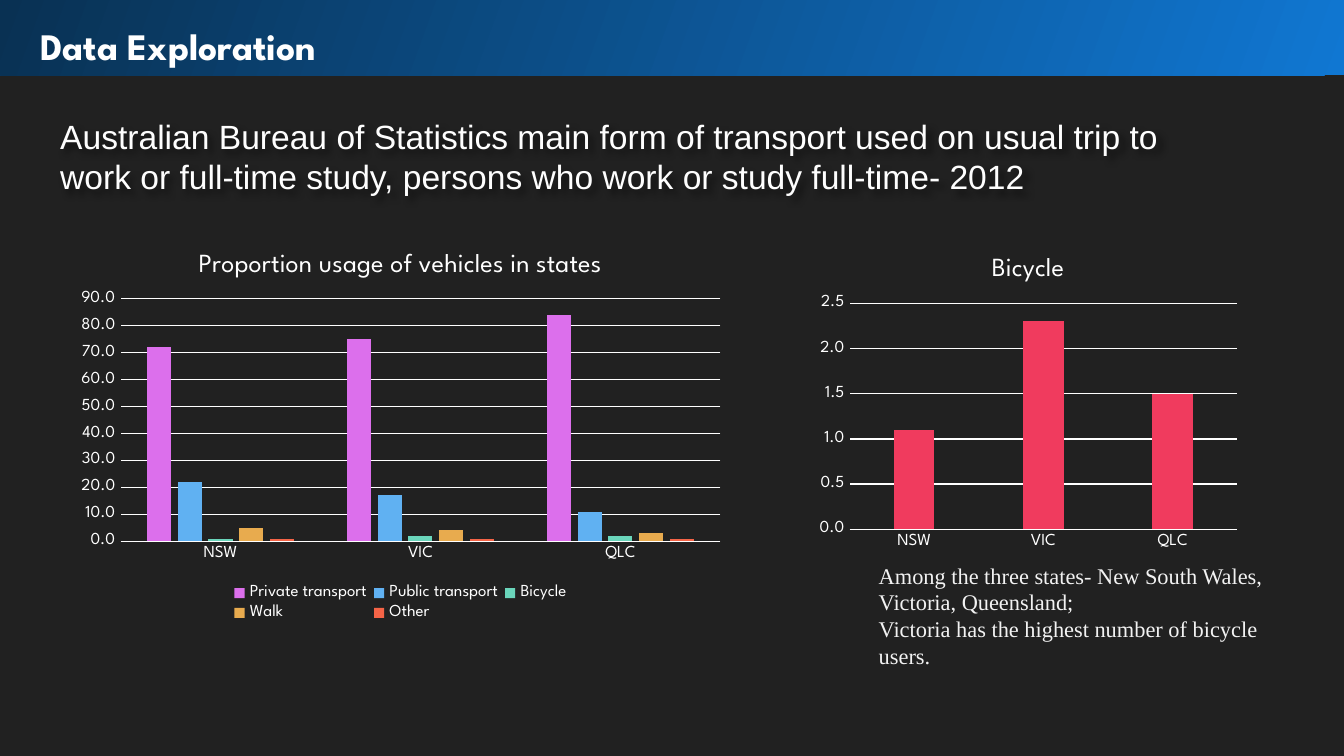
"""Build the Data Exploration slide with two column charts on transport use."""
from dataclasses import dataclass

from lxml import etree
from pptx import Presentation
from pptx.chart.data import CategoryChartData
from pptx.dml.color import RGBColor
from pptx.enum.chart import XL_CHART_TYPE, XL_LEGEND_POSITION, XL_TICK_MARK
from pptx.enum.shapes import MSO_SHAPE
from pptx.enum.text import MSO_ANCHOR
from pptx.oxml import parse_xml
from pptx.oxml.ns import nsdecls, qn
from pptx.util import Inches, Pt

COLUMNS = XL_CHART_TYPE.COLUMN_CLUSTERED
BOTTOM_LEGEND = XL_LEGEND_POSITION.BOTTOM
NO_TICK = XL_TICK_MARK.NONE
RECTANGLE = MSO_SHAPE.RECTANGLE
TOP, BOTTOM = MSO_ANCHOR.TOP, MSO_ANCHOR.BOTTOM


@dataclass(frozen=True)
class Theme:
    background: str = "212121"
    white: str = "FFFFFF"
    headline: str = "FEFEFE"
    note: str = "F2F2F2"
    shadow: str = "000000"
    band_start: str = "1077D2"
    band_end: str = "093153"
    bicycle: str = "F03B5E"
    transport: tuple = ("DC6FEC", "60B1F2", "6AD5BB", "E8AB4E", "F56447")
    display_font: str = "League Spartan"
    headline_font: str = "Arial"
    note_font: str = "Times New Roman"
    header_size: int = 20
    headline_size: int = 18
    chart_title_size: int = 14
    note_size: int = 12
    chart_size: int = 10
    axis_size: int = 9


theme = Theme()


def style_font(font, size, color=theme.white, name=theme.display_font, bold=False):
    font.size = Pt(size)
    font.name = name
    font.bold = bold
    font.color.rgb = RGBColor.from_string(color)


def add_text(text, *, box, inset=0.05, anchor=TOP, shadow=False, **font_format):
    shape = slide.shapes.add_textbox(*map(Inches, box))
    frame = shape.text_frame
    frame.word_wrap = True
    frame.vertical_anchor = anchor
    frame.margin_left = frame.margin_right = Inches(0.1)
    frame.margin_top = frame.margin_bottom = Inches(inset)
    frame.text = text
    for paragraph in frame.paragraphs:
        style_font(paragraph.runs[0].font, **font_format)
    if shadow:
        shape.element.spPr.append(parse_xml(
            f'<a:effectLst {nsdecls("a")}>'
            '<a:outerShdw blurRad="50800" dist="38100" dir="2700000">'
            f'<a:srgbClr val="{theme.shadow}"><a:alpha val="48000"/></a:srgbClr>'
            '</a:outerShdw></a:effectLst>'))


presentation = Presentation()
presentation.slide_width = Inches(10)
presentation.slide_height = Inches(10) * 9 // 16
slide = presentation.slides.add_slide(presentation.slide_layouts[6])
slide.background.fill.solid()
slide.background.fill.fore_color.rgb = RGBColor.from_string(theme.background)

add_text(
    "Australian Bureau of Statistics main form of transport used on usual trip to "
    "work or full-time study, persons who work or study full-time- 2012",
    box=(0.35, 0.71, 8.67, 0.8), anchor=BOTTOM, shadow=True,
    size=theme.headline_size, color=theme.headline, name=theme.headline_font)

states = ("NSW", "VIC", "QLC")
transport_shares = {
    "Private transport": (72, 75, 84),
    "Public transport": (22, 17, 11),
    "Bicycle": (1, 2, 2),
    "Walk": (5, 4, 3),
    "Other": (1, 1, 1),
}
charts = (
    ("Proportion usage of vehicles in states", (0.5, 1.72, 4.96, 2.96), transport_shares,
     theme.transport, 90, 10, (0.08, 0.17, 0.9, 0.61), (0.24, 0.88, 0.52, 0.11)),
    ("Bicycle", (6.03, 1.76, 3.24, 2.37), {"Bicycle": (1.1, 2.3, 1.5)},
     (theme.bicycle,), 2.5, 0.5, (0.09, 0.21, 0.89, 0.71), None),
)

for title, box, shares, colors, maximum, step, plot_box, legend_box in charts:
    chart_data = CategoryChartData(number_format="#,##0.0")
    chart_data.categories = states
    for name, values in shares.items():
        chart_data.add_series(name, values)
    chart = slide.shapes.add_chart(COLUMNS, *map(Inches, box), chart_data).chart
    style_font(chart.font, theme.chart_size)
    chart.has_title = True
    chart.chart_title.include_in_layout = False
    chart.chart_title.text_frame.text = title
    title_run = chart.chart_title.text_frame.paragraphs[0].runs[0]
    style_font(title_run.font, theme.chart_title_size)

    plot = chart.plots[0]
    plot.gap_width = 219
    plot.overlap = -27
    plot.vary_by_categories = False
    for series, color in zip(plot.series, colors):
        series.format.fill.solid()
        series.format.fill.fore_color.rgb = RGBColor.from_string(color)

    value_axis, category_axis = chart.value_axis, chart.category_axis
    value_axis.minimum_scale = 0
    value_axis.maximum_scale = maximum
    value_axis.major_unit = step
    value_axis.tick_labels.number_format = "#,##0.0"
    value_axis.tick_labels.number_format_is_linked = False
    value_axis.format.line.fill.background()
    for axis in (category_axis, value_axis):
        axis.major_tick_mark = axis.minor_tick_mark = NO_TICK
        style_font(axis.tick_labels.font, theme.axis_size)
    for line in (category_axis.format.line, value_axis.major_gridlines.format.line):
        line.color.rgb = RGBColor.from_string(theme.white)
        line.width = Pt(0.75)

    chart.has_legend = legend_box is not None
    layouts = [(chart._chartSpace.find(".//" + qn("c:plotArea")), plot_box)]
    if chart.has_legend:
        chart.legend.position = BOTTOM_LEGEND
        chart.legend.include_in_layout = False
        style_font(chart.legend.font, theme.axis_size)
        layouts.append((chart._chartSpace.find(".//" + qn("c:legend")), legend_box))
    for area, fractions in layouts:
        for old_layout in area.findall(qn("c:layout")):
            area.remove(old_layout)
        layout = etree.Element(qn("c:layout"))
        manual = etree.SubElement(layout, qn("c:manualLayout"))
        settings = dict(xMode="edge", yMode="edge", **dict(zip("xywh", fractions)))
        if area.tag == qn("c:plotArea"):
            settings = {"layoutTarget": "inner", **settings}
        for key, value in settings.items():
            etree.SubElement(manual, qn(f"c:{key}"), val=str(value))
        area.insert(int(area.tag == qn("c:legend")), layout)

band = slide.shapes.add_shape(RECTANGLE, 0, 0, Inches(10.02), Inches(0.56))
band.shadow.inherit = False
band.line.fill.background()
band.fill.gradient()
band.fill.gradient_angle = 160
for stop, color in zip(band.fill.gradient_stops, (theme.band_start, theme.band_end)):
    stop.color.rgb = RGBColor.from_string(color)

add_text("Data Exploration", box=(0.2, 0.07, 9.33, 0.54), inset=0.1,
         size=theme.header_size, bold=True)
add_text("Among the three states- New South Wales, Victoria, Queensland;\n"
         "Victoria has the highest number of bicycle users.",
         box=(6.44, 4.13, 3.06, 0.91), size=theme.note_size,
         color=theme.note, name=theme.note_font)

presentation.save("out.pptx")
